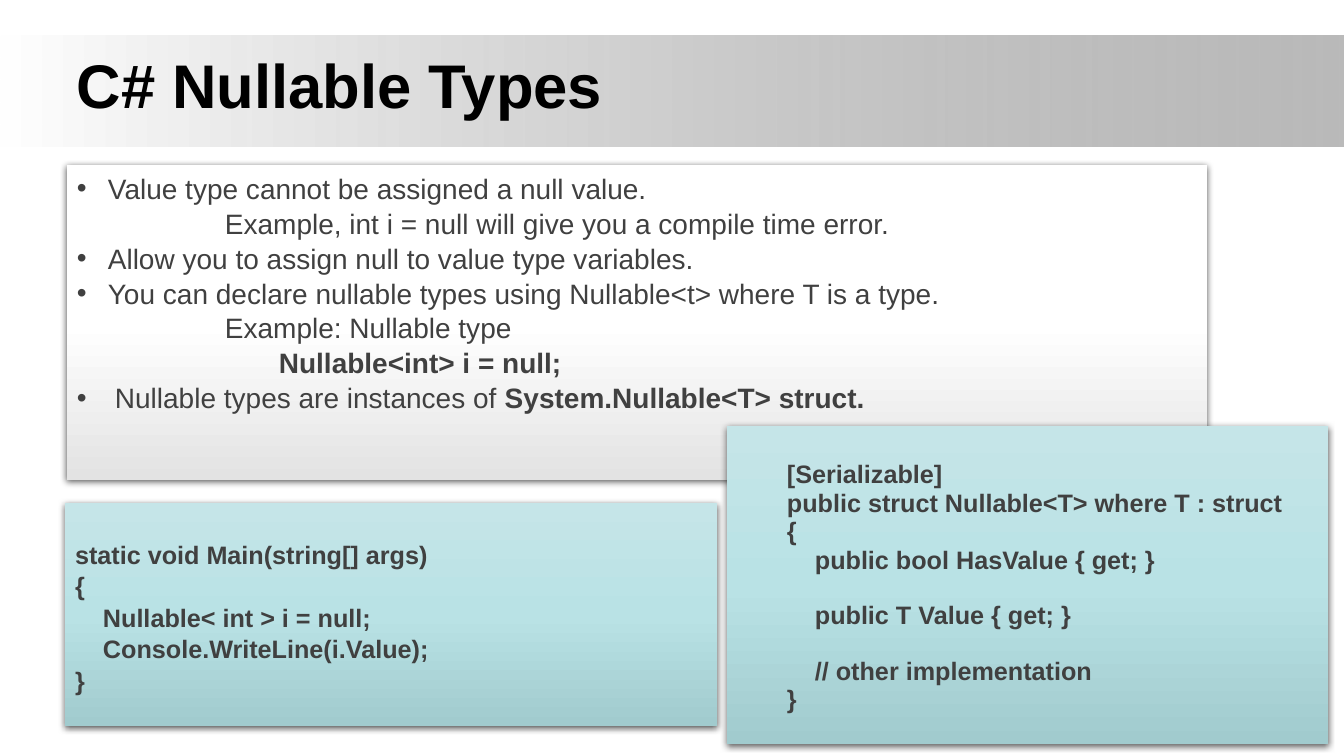
from lxml import etree
from pptx import Presentation
from pptx.dml.color import RGBColor
from pptx.enum.shapes import MSO_SHAPE
from pptx.enum.text import MSO_ANCHOR, PP_ALIGN
from pptx.oxml.ns import nsdecls, qn
from pptx.oxml import parse_xml
from pptx.util import Pt

W, H = 1344, 756
PX = 12192000 / W
FONT = "Arial"
COLORS = {"title": "000000", "text": "404040", "shadow": "000000"}
BAND = [(0, "FFFFFF", 100), (100, "808080", 54)]
GREY = [(0, "FFFFFF", 100), (50, "FFFFFF", 100), (100, "E3E3E3", 100)]
TEAL = [(0, "C5E5E8", 100), (50, "B9E2E5", 100), (100, "A1CBCE", 100)]

# (left margin, bulleted, [(text, bold), ...])
NOTES = [
    (31, True, [("Value type cannot be assigned a null value.", False)]),
    (148, False, [("Example, int i = null will give you a compile time error.", False)]),
    (31, True, [("Allow you to assign null to value type variables.", False)]),
    (31, True, [("You can declare nullable types using Nullable<t> where T is a type.", False)]),
    (148, False, [("Example: Nullable type", False)]),
    (202, False, [("Nullable<int> i = null;", True)]),
    (38, True, [("Nullable types are instances of ", False),
                ("System.Nullable<T> struct.", True)]),
]
STRUCT_CODE = """[Serializable]
public struct Nullable<T> where T : struct
{
    public bool HasValue { get; }

    public T Value { get; }

    // other implementation
}"""
MAIN_CODE = """static void Main(string[] args)
{
    Nullable< int > i = null;
    Console.WriteLine(i.Value);
}"""


def px(n):
    return round(n * PX)


def style(r, size, color, bold):
    r.font.name, r.font.size, r.font.bold = FONT, Pt(size), bold
    r.font.color.rgb = RGBColor.from_string(COLORS[color])


def set_gradient(sp, stops, angle):
    """Fill with (position %, colour, opacity %) stops."""
    gs = "".join(
        f'<a:gs pos="{pos * 1000}"><a:srgbClr val="{color}">'
        f'<a:alpha val="{alpha * 1000}"/></a:srgbClr></a:gs>'
        for pos, color, alpha in stops)
    grad = parse_xml(f'<a:gradFill {nsdecls("a")} rotWithShape="1"><a:gsLst>{gs}</a:gsLst>'
                     f'<a:lin ang="{angle * 60000}" scaled="0"/></a:gradFill>')
    sp._element.spPr.find(qn("a:prstGeom")).addnext(grad)


def add_shadow(sp):
    effects = sp._element.spPr.find(qn("a:effectLst"))
    effects.append(parse_xml(
        f'<a:outerShdw {nsdecls("a")} blurRad="{Pt(4.5)}" dist="{Pt(1.5)}" dir="5400000" '
        f'rotWithShape="0"><a:srgbClr val="{COLORS["shadow"]}"><a:alpha val="63000"/>'
        '</a:srgbClr></a:outerShdw>'))


def add_box(s, box, stops, angle=90):
    sp = s.shapes.add_shape(MSO_SHAPE.RECTANGLE, *map(px, box))
    sp.shadow.inherit = False
    sp.line.fill.background()
    set_gradient(sp, stops, angle)
    return sp


def add_panel(s, box, stops, inset_top):
    sp = add_box(s, box, stops)
    add_shadow(sp)
    tf = sp.text_frame
    tf.word_wrap = True
    tf.vertical_anchor = MSO_ANCHOR.TOP
    tf.margin_top = px(inset_top)
    return tf


def next_paragraph(tf, first, spacing):
    p = tf.paragraphs[0] if first else tf.add_paragraph()
    p.alignment = PP_ALIGN.LEFT
    p.line_spacing = spacing
    return p


def add_header(s, box):
    x, y, w, h = box
    band = add_box(s, box, BAND, 0)
    s.shapes._spTree.insert(2, band._element)
    title = s.shapes.title
    title.left, title.top, title.width, title.height = map(px, (x + 45, y + 8, 590, 79))
    tf = title.text_frame
    tf.text = "C# Nullable Types"
    tf.word_wrap = False
    tf.vertical_anchor = MSO_ANCHOR.MIDDLE
    p = tf.paragraphs[0]
    p.alignment = PP_ALIGN.CENTER
    style(p.runs[0], 44, "title", True)


def add_notes(s, box):
    tf = add_panel(s, box, GREY, 5)
    for i, (margin, bulleted, runs) in enumerate(NOTES):
        p = next_paragraph(tf, i == 0, 1.04)
        pPr = p._p.get_or_add_pPr()
        pPr.set("marL", str(px(margin)))
        if bulleted:
            pPr.set("indent", str(-px(margin)))
            etree.SubElement(pPr, qn("a:buFont")).set("typeface", FONT)
            etree.SubElement(pPr, qn("a:buChar")).set("char", "•")
        for text, bold in runs:
            r = p.add_run()
            r.text = text
            style(r, 20, "text", bold)


def add_code(s, box, code, margin, spacing):
    """Blank code lines become space before the next line."""
    tf = add_panel(s, box, TEAL, 35)
    tf.margin_left = px(margin)
    gap = False
    for i, line in enumerate(code.split("\n")):
        if not line:
            gap = True
            continue
        p = next_paragraph(tf, i == 0, spacing)
        if gap:
            p.space_before = Pt(19.5)
        gap = False
        p.text = line
        style(p.runs[0], 18, "text", True)


def main():
    prs = Presentation()
    prs.slide_width, prs.slide_height = px(W), px(H)
    s = prs.slides.add_slide(prs.slide_layouts[5])
    add_header(s, (0, 36, W, 111))
    add_notes(s, (67, 165, 1140, 315))
    add_code(s, (727, 426, 601, 318), STRUCT_CODE, 60, 0.94)
    add_code(s, (65, 503, 652, 223), MAIN_CODE, 10, 1.04)
    prs.save("out.pptx")


if __name__ == "__main__":
    main()
